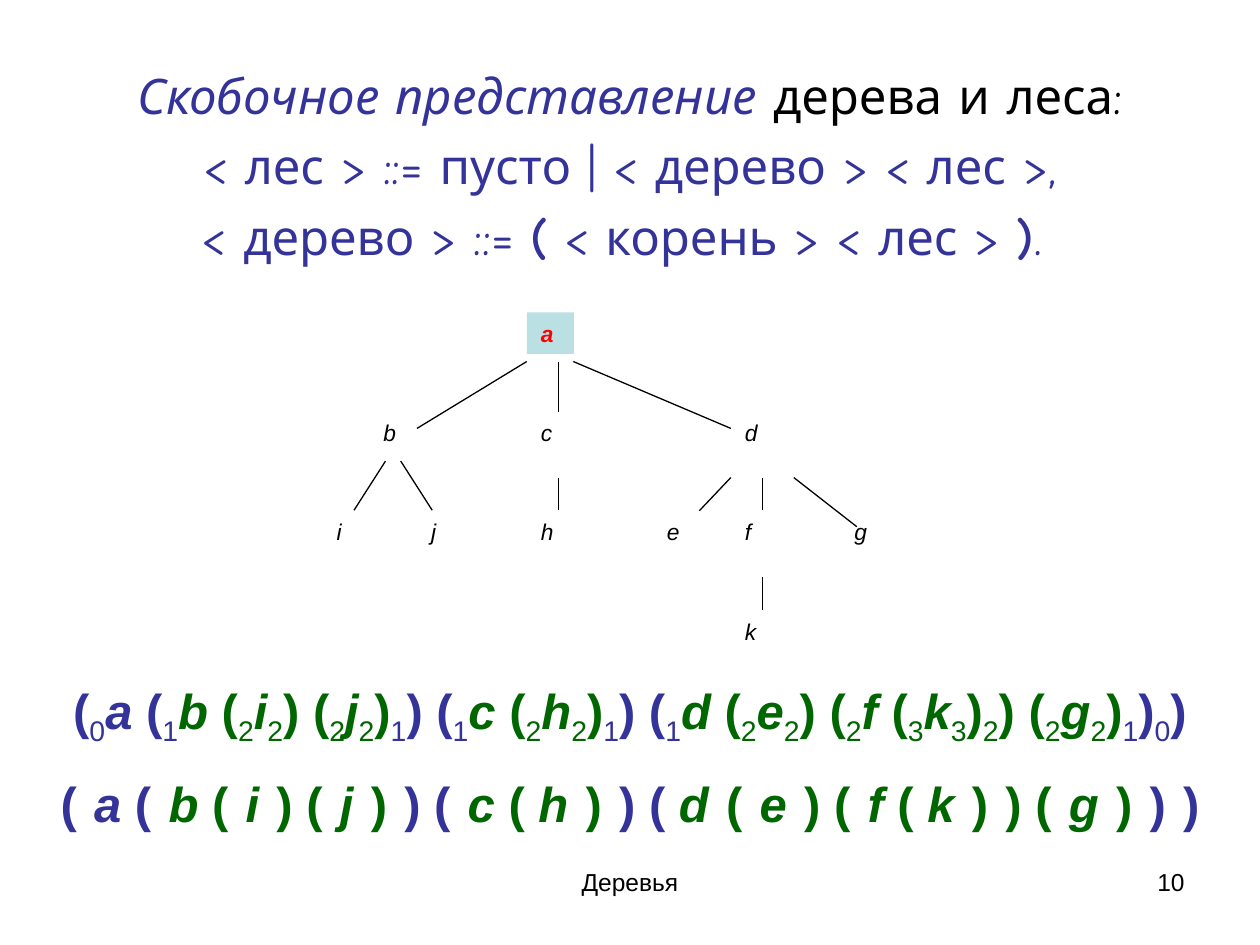
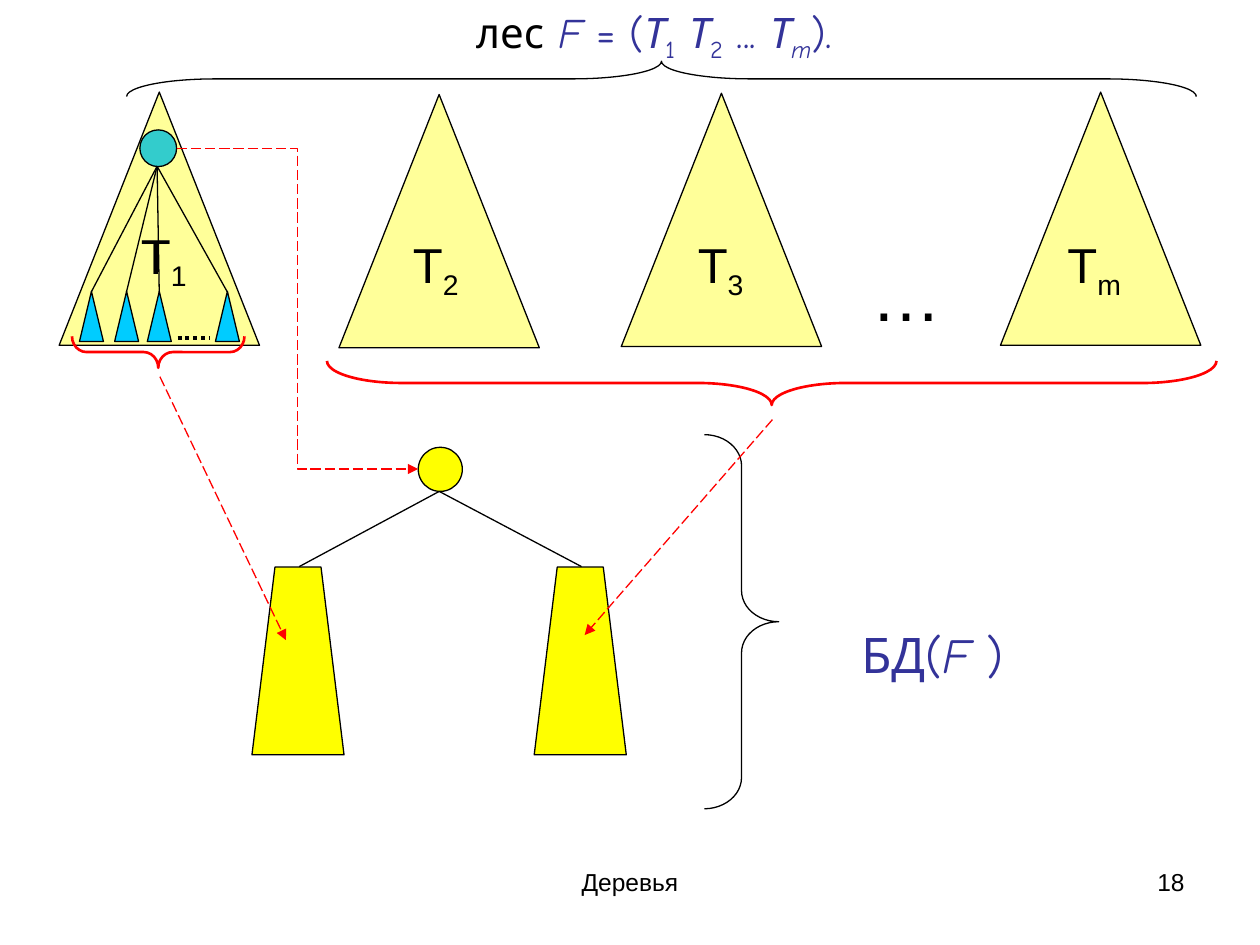
from itertools import groupby

from lxml import etree
from pptx import Presentation
from pptx.dml.color import RGBColor
from pptx.enum import dml, shapes, text
from pptx.oxml import ns
from pptx.util import Pt

COLORS = {
    "black": "000000", "white": "FFFFFF", "blue": "333399", "green": "006600",
    "red": "FF0000", "root": "BBE0E3", "tree": "FFFF99", "node": "33CCCC",
    "subtree": "00CCFF", "binary": "FFFF00",
}
SHAPE = shapes.MSO_SHAPE
LINE = shapes.MSO_CONNECTOR
ALIGN = text.PP_ALIGN
SUB = {"baseline": -25000}
ITALIC = {"italic": True}
BOLD = {"bold": True}


def put(s, box, kind=None, fill=None, line=None, weight=0.75, paras=(),
        align=ALIGN.CENTER, margins=(7.2, 3.6), before=0, **base):
    """Add a text box, or a preset shape; paras holds lists of (text, format) runs."""
    box = [Pt(v) for v in box]
    sp = s.shapes.add_textbox(*box) if kind is None else s.shapes.add_shape(kind, *box)
    if kind is not None:
        sp.shadow.inherit = False
        if fill:
            sp.fill.solid()
            sp.fill.fore_color.rgb = RGBColor.from_string(COLORS[fill])
        else:
            sp.fill.background()
        if line:
            sp.line.color.rgb = RGBColor.from_string(COLORS[line])
            sp.line.width = Pt(weight)
        else:
            sp.line.fill.background()
    tf = sp.text_frame
    tf.word_wrap = True
    tf.vertical_anchor = text.MSO_ANCHOR.TOP
    tf.margin_left = tf.margin_right = Pt(margins[0])
    tf.margin_top = tf.margin_bottom = Pt(margins[1])
    for i, runs in enumerate(paras):
        p = tf.add_paragraph() if i else tf.paragraphs[0]
        p.alignment = align
        p.space_before = Pt(before if i else 0)
        for content, extra in runs:
            r = p.add_run()
            r.text = content
            fmt = {"name": "Arial", "size": 28, "color": "black", **base, **extra}
            r.font.color.rgb = RGBColor.from_string(COLORS[fmt.pop("color")])
            fmt["size"] = Pt(fmt["size"])
            for key, value in fmt.items():
                if key in ("baseline", "spc"):
                    r.font._element.set(key, str(value))
                else:
                    setattr(r.font, key, value)
    return sp


def connect(s, ends, color="black", weight=0.75, dash=None, arrow=False,
            kind=LINE.STRAIGHT):
    c = s.shapes.add_connector(kind, *[Pt(v) for v in ends])
    c.line.color.rgb = RGBColor.from_string(COLORS[color])
    c.line.width = Pt(weight)
    if dash:
        c.line.dash_style = dash
    if arrow:
        etree.SubElement(c.line._get_or_add_ln(), ns.qn("a:tailEnd"), type="triangle")
    etree.SubElement(c._element.spPr, ns.qn("a:effectLst"))


prs = Presentation()
prs.slide_width, prs.slide_height = Pt(720), Pt(540)
slides = []
for number in ("10", "18"):
    s = prs.slides.add_slide(prs.slide_layouts[6])
    put(s, (246, 492, 228, 37.5), paras=[[("Деревья", {})]], size=14)
    put(s, (516, 492, 168, 37.5), paras=[[(number, {})]], size=14, align=ALIGN.RIGHT)
    slides.append(s)

# Bracket notation of a tree
s = slides[0]
put(s, (36, 33.8, 648, 130.3), name="Comic Neue", color="blue", before=6.7,
    paras=[
        [("Скобочное представление", ITALIC), (" дерева и леса:", {"color": "black"})],
        [("< лес > ::= пусто |\u00a0< дерево > < лес\u00a0>,", {})],
        [("< дерево > ::= ", {}), ("(", BOLD), (" < корень > < лес\u00a0>\u00a0", {}),
         (")", BOLD), (". ", {})],
    ])

levels = [
    {"a": 301},
    {"b": 211, "c": 301, "d": 417.6},
    {"i": 184.3, "j": 238.3, "h": 301, "e": 373, "f": 417.6, "g": 480.2},
    {"k": 417.6},
]
for level, nodes in enumerate(levels):
    for letter, x in nodes.items():
        look = {"fill": "white", "color": "black"}
        if level == 0:
            look = {"fill": "root", "color": "red", "bold": True}
        put(s, (x, 178.5 + 56.8 * level, 27, 23.8), SHAPE.RECTANGLE,
            paras=[[(letter, ITALIC)]], align=ALIGN.LEFT, margins=(8, 4), size=13, **look)

branches = [
    (301, 206.6, 238.3, 244.8), (319, 206.6, 319, 235.3), (327.6, 206.6, 417.6, 244.8),
    (220.3, 263.5, 202.3, 291.6), (229, 263.5, 247, 291.6), (319, 272.9, 319, 291.6),
    (417.6, 272.9, 399.6, 291.9), (435.6, 272.9, 435.6, 291.6),
    (453.6, 272.9, 489.6, 301), (435.6, 329.8, 435.6, 348.5),
]
for ends in branches:
    connect(s, ends)

# "|" switches between blue and green, "_" is a slightly wider space
formulas = {
    385.2: "(0a (1|b (2i2) (2j2)|1) (1|c (2h2)|1) (1|d (2e2) (2f (3k3)2) (2g2)|1)0)",
    438.5: "(_a (_|b (_i_) (_j_)_|) (_|c ( h_)_|) ( |d_(_e_) (_f ( k_)_) (_g_)_|)_)",
}
for top, formula in formulas.items():
    runs = []
    for i, part in enumerate(formula.split("|")):
        color = {"color": ("blue", "green")[i % 2]}
        for (digit, letter, wide), chars in groupby(
                part, lambda ch: (ch.isdigit(), ch.isalpha(), ch == "_")):
            fmt = {**color, "bold": not digit, "italic": letter}
            if digit:
                fmt.update(SUB)
            if wide:
                fmt["spc"] = 210
            runs.append(("".join(chars).replace("_", " "), fmt))
    put(s, (0, top, 720, 45.4), paras=[runs])

# Forest and its binary tree
s = slides[1]
for x, y in ((33.8, 52.6), (571.7, 52.6), (193.7, 54), (355, 53.3)):
    put(s, (x, y, 114.5, 144.7), SHAPE.ISOSCELES_TRIANGLE, "tree", "black")
put(s, (477.4, 140.4, 80.6, 55.4), paras=[[("…", {})]], size=40)
for index, x, y, w in (("1", 70.6, 125.3, 46), ("2", 226, 130.3, 46),
                       ("3", 388.8, 130.3, 46), ("m", 597.6, 130.3, 55.4)):
    put(s, (x, y, w, 45.4), paras=[[("Т", {}), (index, SUB)]])

put(s, (79.9, 74.2, 21, 21), SHAPE.OVAL, "node", "black")
for x in (45.4, 65.5, 84.2, 123.1):
    put(s, (x, 166.5, 13.7, 28.6), SHAPE.ISOSCELES_TRIANGLE, "subtree", "black")
    connect(s, (89.8, 95, x + 6.8, 166.8))
connect(s, (101.5, 193, 120.2, 193), weight=2.25, dash=dml.MSO_LINE.ROUND_DOT)

for box, turn, bend, color, weight in (
        ((81.4, 151.9, 18, 98.6), 90, 0.46, "red", 1.5),
        ((428.4, -35.3, 25.2, 508.3), 90, 1.68, "red", 1.5),
        ((367.9, -260.6, 20.2, 611.3), 270, 2.52, "black", 0.75),
        ((402.5, 248.4, 42.5, 213.8), 0, 0.42, "black", 0.75)):
    sp = put(s, box, SHAPE.RIGHT_BRACE, line=color, weight=weight)
    sp.adjustments[0] = bend
    sp.rotation = turn

for x in (144, 305.3):
    sp = put(s, (x, 324, 52.6, 107.3), SHAPE.TRAPEZOID, "binary", "black")
    sp.adjustments[0] = 0.25
    connect(s, (251, 280.8, x + 27, 323.8))
put(s, (239, 255.6, 25.2, 25.2), SHAPE.OVAL, "binary", "black")

for kind, ends in ((LINE.ELBOW, (101, 85, 239, 268)),
                   (LINE.STRAIGHT, (91.4, 215.3, 163.4, 365.8)),
                   (LINE.STRAIGHT, (441.4, 239.8, 334.1, 362.9))):
    connect(s, ends, "red", dash=dml.MSO_LINE.LONG_DASH, arrow=True, kind=kind)

put(s, (200.2, 0, 347, 40.3), name="Comic Neue", size=24, color="blue", paras=[[
    ("лес ", {"color": "black"}), ("F", ITALIC), ("\u00a0=\u00a0(", {}),
    ("Т", ITALIC), ("1", SUB), ("\u00a0", {}), ("Т", ITALIC), ("2", SUB),
    ("\u00a0...\u00a0", {}), ("Т", ITALIC), ("m", {**ITALIC, **SUB}), (").", {})]])
put(s, (459.4, 353.5, 146.9, 41), name="Comic Neue", color="blue",
    paras=[[("БД(", {}), ("F ", ITALIC), (")", {})]])

prs.save("out.pptx")
